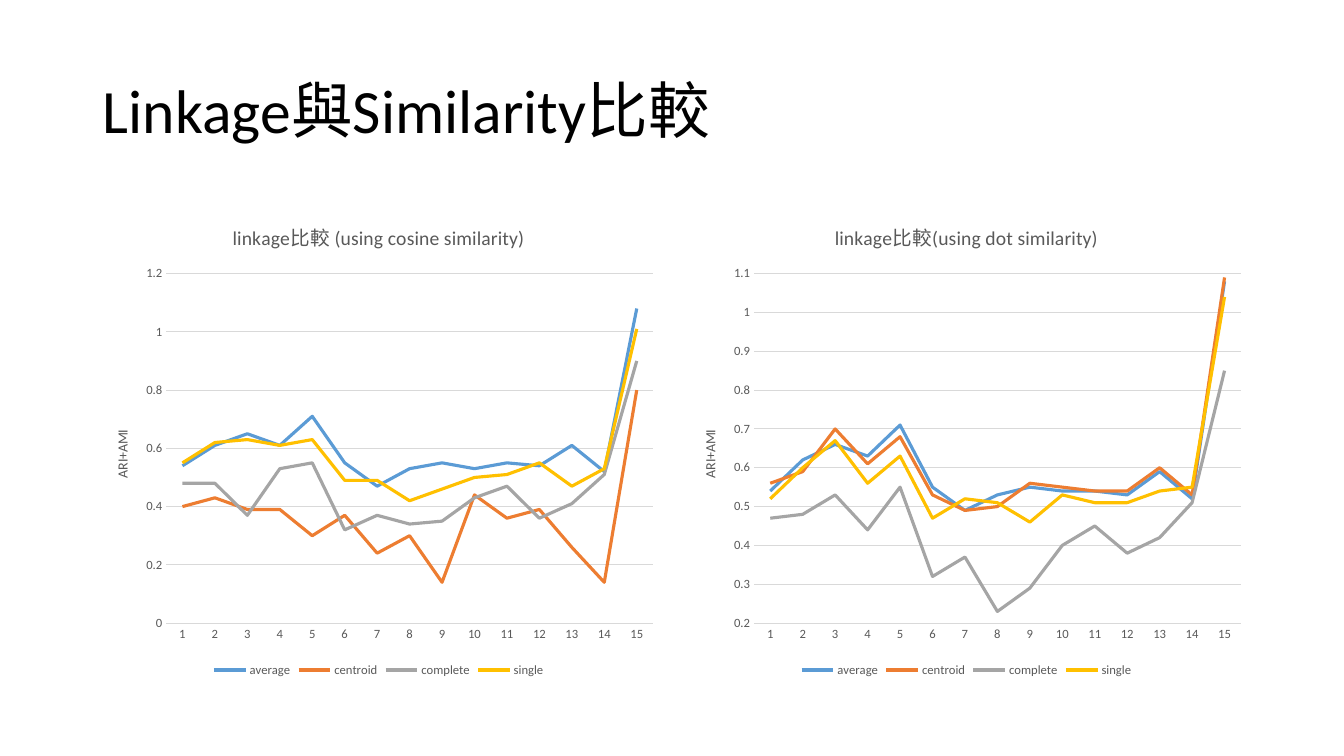
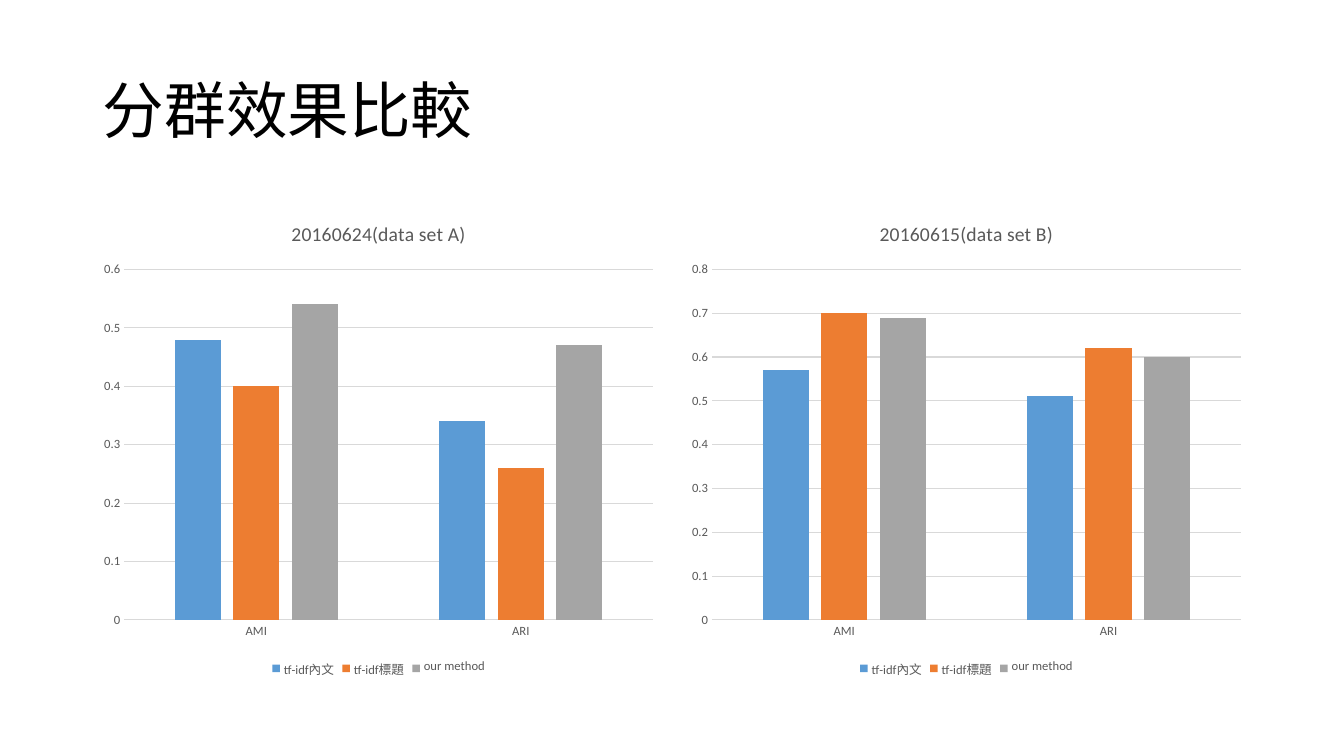
from dataclasses import dataclass
from typing import Any

from pptx import Presentation
from pptx import util as u
from pptx.chart import data as chart_data
from pptx.dml import color
from pptx.enum import chart as chart_enum
from pptx.enum import text

FONT = "Calibri"
BLACK, GREY, RULE = "000000", "595959", "D9D9D9"
SERIES_COLORS = ("5B9BD5", "ED7D31", "A5A5A5", "FFC000")
LEFT, CONTENT_WIDTH = 0.92, 11.5
CHART_TOP, CHART_WIDTH, CHART_HEIGHT = 2, 5.67, 4.76
TITLE_ONLY_LAYOUT = 5

LINE = chart_enum.XL_CHART_TYPE.LINE
COLUMNS = chart_enum.XL_CHART_TYPE.COLUMN_CLUSTERED


@dataclass(frozen=True)
class Panel:
    title: str
    values: tuple[tuple[float, ...], ...]
    minimum: float
    maximum: float
    step: float


@dataclass(frozen=True)
class Comparison:
    title: str
    kind: Any
    categories: tuple[str, ...]
    names: tuple[str, ...]
    panels: tuple[Panel, ...]
    axis_title: str = ""


COMPARISONS = (
    Comparison(
        "Linkage與Similarity比較", LINE,
        tuple(str(number) for number in range(1, 16)),
        ("average", "centroid", "complete", "single"),
        (
            Panel("linkage比較 (using cosine similarity)", (
                (0.54, 0.61, 0.65, 0.61, 0.71, 0.55, 0.47, 0.53,
                 0.55, 0.53, 0.55, 0.54, 0.61, 0.52, 1.08),
                (0.4, 0.43, 0.39, 0.39, 0.3, 0.37, 0.24, 0.3,
                 0.14, 0.44, 0.36, 0.39, 0.26, 0.14, 0.8),
                (0.48, 0.48, 0.37, 0.53, 0.55, 0.32, 0.37, 0.34,
                 0.35, 0.43, 0.47, 0.36, 0.41, 0.51, 0.9),
                (0.55, 0.62, 0.63, 0.61, 0.63, 0.49, 0.49, 0.42,
                 0.46, 0.5, 0.51, 0.55, 0.47, 0.53, 1.01),
            ), 0, 1.2, 0.2),
            Panel("linkage比較(using dot similarity)", (
                (0.54, 0.62, 0.66, 0.63, 0.71, 0.55, 0.49, 0.53,
                 0.55, 0.54, 0.54, 0.53, 0.59, 0.52, 1.08),
                (0.56, 0.59, 0.7, 0.61, 0.68, 0.53, 0.49, 0.5,
                 0.56, 0.55, 0.54, 0.54, 0.6, 0.53, 1.09),
                (0.47, 0.48, 0.53, 0.44, 0.55, 0.32, 0.37, 0.23,
                 0.29, 0.4, 0.45, 0.38, 0.42, 0.51, 0.85),
                (0.52, 0.6, 0.67, 0.56, 0.63, 0.47, 0.52, 0.51,
                 0.46, 0.53, 0.51, 0.51, 0.54, 0.55, 1.04),
            ), 0.2, 1.1, 0.1),
        ),
        axis_title="ARI+AMI",
    ),
    Comparison(
        "分群效果比較", COLUMNS, ("AMI", "ARI"),
        ("tf-idf內文", "tf-idf標題", "our method"),
        (
            Panel("20160624(data set A)",
                  ((0.48, 0.34), (0.4, 0.26), (0.54, 0.47)), 0, 0.6, 0.1),
            Panel("20160615(data set B)",
                  ((0.57, 0.51), (0.7, 0.62), (0.69, 0.6)), 0, 0.8, 0.1),
        ),
    ),
)


def rgb(value: str) -> color.RGBColor:
    return color.RGBColor.from_string(value)


def apply(target: Any, **formats: Any) -> None:
    """Set each named attribute of the target."""
    for name, value in formats.items():
        setattr(target, name, value)


def style_font(font: Any, size: float, hue: str = GREY) -> None:
    apply(font, name=FONT, size=u.Pt(size), bold=False)
    font.color.rgb = rgb(hue)


def style_line(line: Any, hue: str, width: float = 0.75) -> None:
    line.color.rgb = rgb(hue)
    line.width = u.Pt(width)


def write_heading(frame: Any, words: str, size: float) -> None:
    frame.text = words
    style_font(frame.paragraphs[0].runs[0].font, size)


def add_title(page: Any, words: str) -> None:
    box = page.shapes.title
    apply(box, left=u.Inches(LEFT), top=u.Inches(0.4),
          width=u.Inches(CONTENT_WIDTH), height=u.Inches(1.45))
    frame = box.text_frame
    frame.text = words
    apply(frame, vertical_anchor=text.MSO_ANCHOR.MIDDLE, word_wrap=True)
    para = frame.paragraphs[0]
    apply(para, alignment=text.PP_ALIGN.LEFT, line_spacing=0.9)
    style_font(para.runs[0].font, 44, BLACK)


def style_axes(chart: Any, panel: Panel, axis_title: str) -> None:
    for axis in (chart.category_axis, chart.value_axis):
        apply(axis, major_tick_mark=chart_enum.XL_TICK_MARK.NONE,
              minor_tick_mark=chart_enum.XL_TICK_MARK.NONE)
        style_font(axis.tick_labels.font, 9)
    style_line(chart.category_axis.format.line, RULE)

    values = chart.value_axis
    apply(values, minimum_scale=panel.minimum, maximum_scale=panel.maximum,
          major_unit=panel.step, has_major_gridlines=True)
    values.format.line.fill.background()
    style_line(values.major_gridlines.format.line, RULE)
    if axis_title:
        frame = values.axis_title.text_frame
        write_heading(frame, axis_title, 10)
        frame._txBody.bodyPr.set("rot", "-5400000")


def style_series(chart: Any, kind: Any) -> None:
    plot = chart.plots[0]
    plot.vary_by_categories = False
    if kind == COLUMNS:
        apply(plot, gap_width=219, overlap=-27)
    for series, hue in zip(plot.series, SERIES_COLORS):
        if kind == LINE:
            series.smooth = False
            style_line(series.format.line, hue, 2.25)
        else:
            series.format.fill.solid()
            series.format.fill.fore_color.rgb = rgb(hue)


def add_panel(page: Any, comparison: Comparison, panel: Panel, left: float) -> None:
    data = chart_data.CategoryChartData()
    data.categories = comparison.categories
    for name, values in zip(comparison.names, panel.values):
        data.add_series(name, values)
    chart = page.shapes.add_chart(
        comparison.kind, u.Inches(left), u.Inches(CHART_TOP),
        u.Inches(CHART_WIDTH), u.Inches(CHART_HEIGHT), data).chart
    style_font(chart.font, 10, BLACK)
    write_heading(chart.chart_title.text_frame, panel.title, 14)
    chart.chart_title.include_in_layout = False
    chart.has_legend = True
    apply(chart.legend, position=chart_enum.XL_LEGEND_POSITION.BOTTOM,
          include_in_layout=False)
    style_font(chart.legend.font, 9)
    style_axes(chart, panel, comparison.axis_title)
    style_series(chart, comparison.kind)


def add_comparison(deck: Any, comparison: Comparison) -> None:
    page = deck.slides.add_slide(deck.slide_layouts[TITLE_ONLY_LAYOUT])
    add_title(page, comparison.title)
    pitch = CONTENT_WIDTH - CHART_WIDTH
    for index, panel in enumerate(comparison.panels):
        add_panel(page, comparison, panel, LEFT + index * pitch)


def main() -> None:
    deck = Presentation()
    apply(deck, slide_width=u.Inches(13.33), slide_height=u.Inches(7.5))
    for comparison in COMPARISONS:
        add_comparison(deck, comparison)
    deck.save("out.pptx")


if __name__ == "__main__":
    main()
